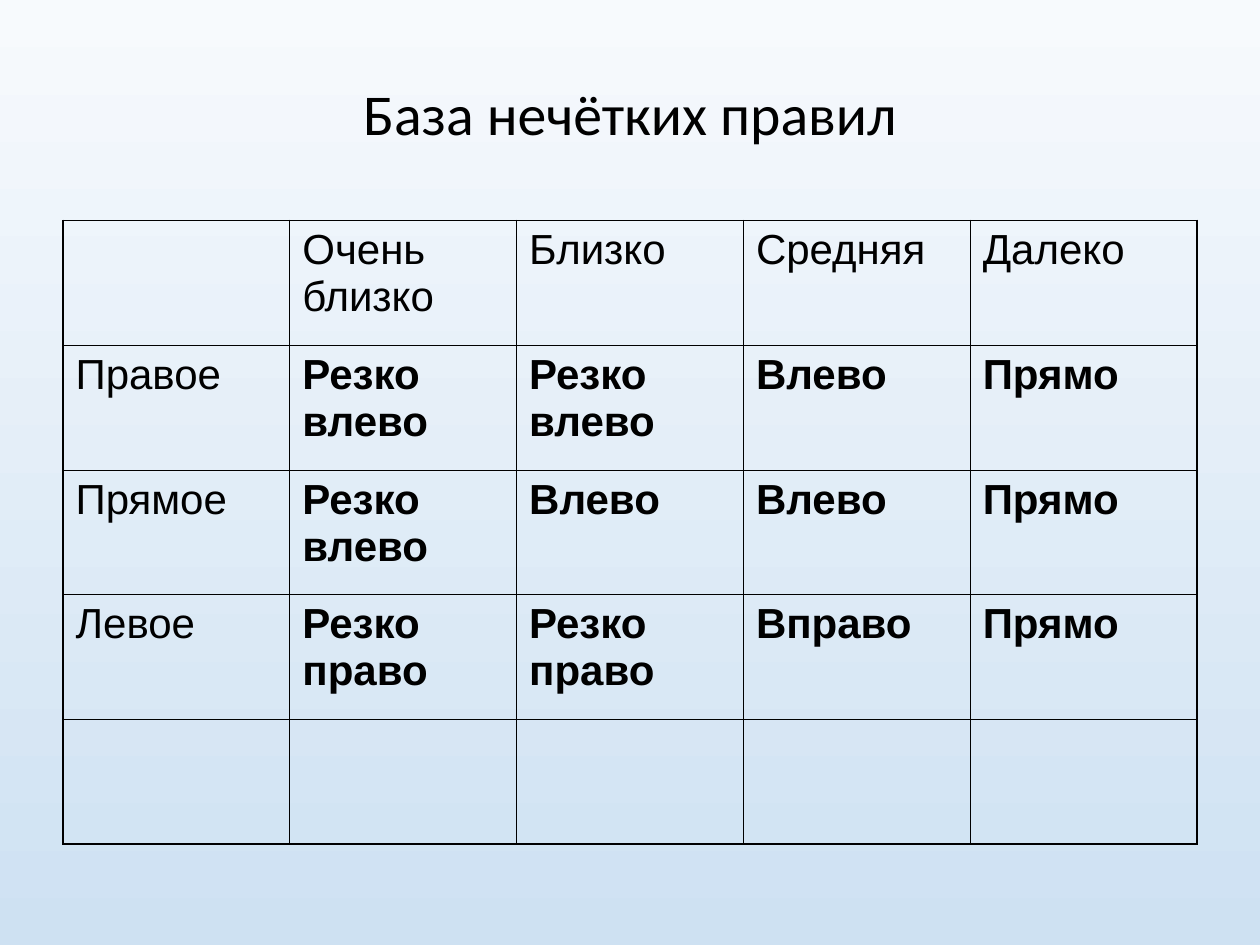
from dataclasses import dataclass

from lxml import etree
from pptx import Presentation
from pptx.dml.color import RGBColor
from pptx.enum.text import MSO_ANCHOR, PP_ALIGN
from pptx.oxml.ns import qn
from pptx.util import Inches, Pt

CENTER = PP_ALIGN.CENTER
MIDDLE = MSO_ANCHOR.MIDDLE
TITLE_ONLY = 5


@dataclass(frozen=True)
class Theme:
    ink: str = "000000"
    sky_top: str = "F7FAFD"
    sky_bottom: str = "CEE1F2"
    title_font: str = "Calibri"
    table_font: str = "Arial"
    title_size: float = 33
    table_size: float = 24
    outer_line: float = 1.08
    inner_line: float = 0.45


THEME = Theme()

RULES = [
    ["", "Очень близко", "Близко", "Средняя", "Далеко"],
    ["Правое", "Резко влево", "Резко влево", "Влево", "Прямо"],
    ["Прямое", "Резко влево", "Влево", "Влево", "Прямо"],
    ["Левое", "Резко право", "Резко право", "Вправо", "Прямо"],
    ["", "", "", "", ""],
]


def set_font(para, name, size, bold=False):
    font = para.font
    font.name = name
    font.size = Pt(size)
    font.bold = bold
    font.color.rgb = RGBColor.from_string(THEME.ink)


def paint_background(page):
    fill = page.background.fill
    fill.gradient()
    fill.gradient_angle = 270
    for stop, color in zip(fill.gradient_stops, (THEME.sky_top, THEME.sky_bottom)):
        stop.color.rgb = RGBColor.from_string(color)


def add_title(page, text):
    title = page.shapes.title
    title.left, title.top = Inches(0.5), Inches(0.3)
    title.width, title.height = Inches(9), Inches(1.25)
    frame = title.text_frame
    frame.text = text
    frame.vertical_anchor = MIDDLE
    para = frame.paragraphs[0]
    para.alignment = CENTER
    para.line_spacing = 0.9
    set_font(para, THEME.title_font, THEME.title_size)


def add_border(cell, side, width):
    """Draw one side of a cell: L, R, T or B, called in that order."""
    line = etree.SubElement(cell._tc.get_or_add_tcPr(), qn(f"a:ln{side}"), w=str(Pt(width)))
    fill = etree.SubElement(line, qn("a:solidFill"))
    etree.SubElement(fill, qn("a:srgbClr"), val=THEME.ink)


def add_rule_table(page, rules):
    row_count, column_count = len(rules), len(rules[0])
    table = page.shapes.add_table(
        row_count, column_count, Inches(0.5), Inches(1.75), Inches(9), Inches(4.95)
    ).table
    table.first_row = False
    table.horz_banding = False
    for r, row in enumerate(rules):
        for c, text in enumerate(row):
            cell = table.cell(r, c)
            cell.text = text
            is_rule = r > 0 and c > 0
            set_font(cell.text_frame.paragraphs[0], THEME.table_font, THEME.table_size, is_rule)
            on_edge = {
                "L": c == 0,
                "R": c == column_count - 1,
                "T": r == 0,
                "B": r == row_count - 1,
            }
            for side, outer in on_edge.items():
                add_border(cell, side, THEME.outer_line if outer else THEME.inner_line)
            cell.fill.background()


def main():
    deck = Presentation()
    deck.slide_width, deck.slide_height = Inches(10), Inches(7.5)
    page = deck.slides.add_slide(deck.slide_layouts[TITLE_ONLY])
    paint_background(page)
    add_title(page, "База нечётких правил")
    add_rule_table(page, RULES)
    deck.save("out.pptx")


if __name__ == "__main__":
    main()
